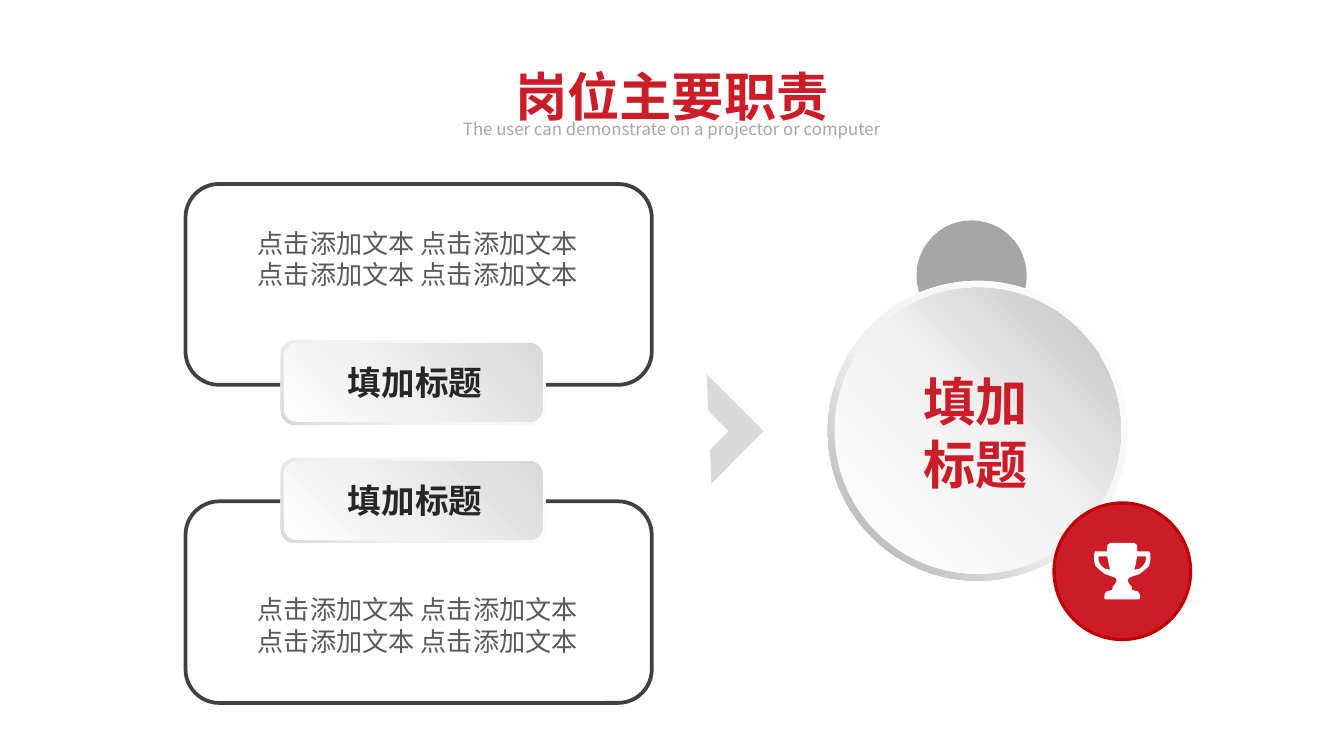
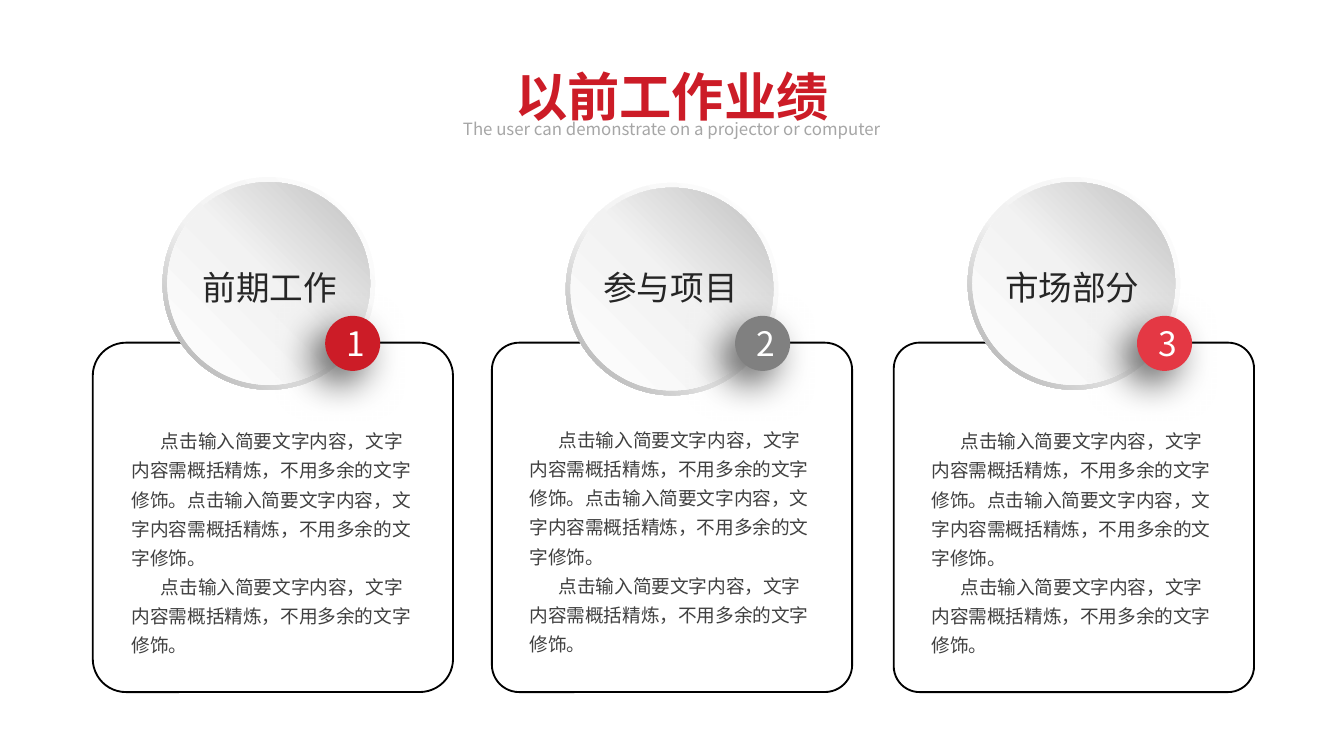
from dataclasses import dataclass
from typing import Any, NamedTuple

from lxml import etree
from pptx import Presentation
from pptx.dml.color import RGBColor
from pptx.enum.shapes import MSO_SHAPE
from pptx.enum.text import MSO_ANCHOR, MSO_AUTO_SIZE, PP_ALIGN
from pptx.oxml.ns import qn
from pptx.util import Pt

ELLIPSE, DONUT = MSO_SHAPE.OVAL, MSO_SHAPE.DONUT
ROUNDED, HALF_FRAME = MSO_SHAPE.ROUNDED_RECTANGLE, MSO_SHAPE.HALF_FRAME
LEFT, CENTER = PP_ALIGN.LEFT, PP_ALIGN.CENTER
TOP, MIDDLE = MSO_ANCHOR.TOP, MSO_ANCHOR.MIDDLE
GROW, FIXED = MSO_AUTO_SIZE.SHAPE_TO_FIT_TEXT, MSO_AUTO_SIZE.NONE


class Rect(NamedTuple):
    """Left, top, width and height in points."""
    left: float
    top: float
    width: float
    height: float

    def inset(self, gap: float) -> "Rect":
        return Rect(self.left + gap, self.top + gap,
                    self.width - 2 * gap, self.height - 2 * gap)


class Gradient(NamedTuple):
    """Stops as (percent, colour); angle runs clockwise."""
    stops: tuple[tuple[int, str], ...]
    angle: int


class TextStyle(NamedTuple):
    size: float
    color: str
    bold: bool = False
    align: Any = CENTER
    spacing: float | None = None
    indent: float = 0


Fill = str | Gradient | None
DOWN_LEFT, UP_RIGHT = 135, 315


@dataclass(frozen=True)
class Theme:
    font: str = "Noto Sans CJK SC"
    red: str = "CC1C27"
    dark_red: str = "C00000"
    light_red: str = "E43844"
    gray: str = "808080"
    silver: str = "A6A6A6"
    pale: str = "D9D9D9"
    frame: str = "404040"
    black: str = "000000"
    white: str = "FFFFFF"
    title: TextStyle = TextStyle(28, "CC1C27", bold=True)
    subtitle: TextStyle = TextStyle(9, "A6A6A6")
    duty: TextStyle = TextStyle(14, "595959")
    pill: TextStyle = TextStyle(18, "262626", bold=True)
    label: TextStyle = TextStyle(18, "262626", align=LEFT)
    number: TextStyle = TextStyle(18, "FFFFFF")
    detail: TextStyle = TextStyle(10, "404040", align=LEFT, spacing=1.3, indent=15.6)
    ring: Gradient = Gradient(((0, "FFFFFF"), (55, "F2F2F2"), (100, "A6A6A6")), DOWN_LEFT)
    disc: Gradient = Gradient(((0, "FFFFFF"), (51, "F2F2F2"), (100, "BFBFBF")), UP_RIGHT)
    pill_edge: Gradient = Gradient(((0, "FFFFFF"), (62, "F2F2F2"), (100, "D9D9D9")), DOWN_LEFT)
    pill_face: Gradient = Gradient(((0, "FFFFFF"), (42, "F0F0F0"), (100, "D9D9D9")), UP_RIGHT)


THEME = Theme()


@dataclass(frozen=True)
class Duty:
    frame: Rect
    body: Rect
    pill_top: float


@dataclass(frozen=True)
class Result:
    label: str
    number: str
    color: str
    card_left: float
    corner: float
    ring_left: float
    ring_top: float
    dot_left: float
    label_left: float
    detail_left: float
    detail_top: float


DUTIES = (
    Duty(Rect(99.4, 98.6, 249.8, 107.6), Rect(101.5, 118.1, 244.8, 41), 182.2),
    Duty(Rect(99.4, 268.6, 249.8, 108), Rect(108, 314.6, 231.8, 41), 245.5),
)
DUTY_LINE = "点击添加文本 点击添加文本"
RESULTS = (
    Result("前期工作", "1", THEME.red, 49.7, 0.095, 87.1, 95, 174.2, 101.5, 70.6, 226.8),
    Result("参与项目", "2", THEME.gray, 263.5, 0.078, 303.1, 98, 393.8, 316.1, 283.7, 226.1),
    Result("市场部分", "3", THEME.light_red, 478.8, 0.074, 518.4, 95, 609.1, 531.4, 499, 226.8),
)
SENTENCE = "点击输入简要文字内容，文字内容需概括精炼，不用多余的文字修饰。"

# Right half of the trophy: points measured from its top centre.
CUP_HALF = (
    (6.5, 0), (7.9, 1), (8.1, 4.5), (14.4, 4.5), (15.1, 5.8), (15.1, 9.4),
    (14.4, 12.2), (12.2, 14.4), (9.4, 16.6), (5.4, 18), (3.6, 18.7), (2.9, 20.2),
    (3.6, 21.6), (5, 23.4), (5.4, 25.2), (8.3, 25.9), (9.4, 27.4), (9.6, 29.4),
    (9.2, 30.2),
)
HANDLE_HOLE = ((12.8, 7.2), (8, 7.2), (7.2, 11.5), (6.5, 14.4),
               (9.4, 13.7), (11.2, 12.2), (12.5, 10.1))


def apply(target: Any, values: dict[str, Any]) -> None:
    for name, value in values.items():
        setattr(target, name, value)


def paint(shape: Any, fill: Fill) -> None:
    if fill is None:
        shape.fill.background()
    elif isinstance(fill, str):
        shape.fill.solid()
        shape.fill.fore_color.rgb = RGBColor.from_string(fill)
    else:
        shape.fill.gradient()
        shape.fill.gradient_angle = 360 - fill.angle
        stops = shape._element.spPr.find(".//" + qn("a:gsLst"))
        for stop in list(stops):
            stops.remove(stop)
        for percent, color in fill.stops:
            stop = etree.SubElement(stops, qn("a:gs"), pos=str(percent * 1000))
            etree.SubElement(stop, qn("a:srgbClr"), val=color)


def finish(shape: Any, fill: Fill, line: str | None = None, weight: float = 1) -> None:
    shape.shadow.inherit = False
    paint(shape, fill)
    if line is None:
        shape.line.fill.background()
    else:
        shape.line.color.rgb = RGBColor.from_string(line)
        shape.line.width = Pt(weight)


def add_shape(page: Any, kind: Any, rect: Rect, fill: Fill, line: str | None = None,
              weight: float = 1, corner: float | None = None) -> Any:
    shape = page.shapes.add_shape(kind, *map(Pt, rect))
    if corner is not None:
        shape.adjustments[0] = corner
    finish(shape, fill, line, weight)
    return shape


def write(frame: Any, lines: tuple[str, ...], style: TextStyle) -> None:
    for index, line in enumerate(lines):
        para = frame.add_paragraph() if index else frame.paragraphs[0]
        apply(para, {"alignment": style.align, "line_spacing": style.spacing})
        if style.indent:
            para._p.get_or_add_pPr().set("indent", str(Pt(style.indent)))
        span = para.add_run()
        span.text = line
        apply(span.font, {"name": THEME.font, "size": Pt(style.size), "bold": style.bold})
        span.font.color.rgb = RGBColor.from_string(style.color)
        east_asian = etree.SubElement(span._r.get_or_add_rPr(), qn("a:ea"))
        east_asian.set("typeface", THEME.font)


def add_text(page: Any, rect: Rect, lines: tuple[str, ...], style: TextStyle,
             wrap: bool = True, padded: bool = True) -> None:
    frame = page.shapes.add_textbox(*map(Pt, rect)).text_frame
    apply(frame, {"word_wrap": wrap, "auto_size": GROW, "vertical_anchor": TOP})
    if not padded:
        for side in ("left", "top", "right", "bottom"):
            setattr(frame, f"margin_{side}", 0)
    write(frame, lines, style)


def add_medal(page: Any, left: float, top: float, size: float,
              ring: Fill, disc: Fill) -> None:
    """A disc framed by a thin ring."""
    rect = Rect(left, top, size, size)
    add_shape(page, DONUT, rect, ring, corner=0.049)
    add_shape(page, ELLIPSE, rect.inset(size * 0.023), disc)


def add_pill(page: Any, top: float) -> None:
    rect = Rect(150.5, top, 141.8, 45.4)
    add_shape(page, ROUNDED, rect, THEME.pill_edge)
    add_shape(page, ROUNDED, rect.inset(1.6), THEME.pill_face)
    add_text(page, Rect(181.4, top + 11.5, 82.1, 21.6), ("填加标题",),
             THEME.pill, padded=False)


def add_trophy(page: Any, center: float, top: float) -> None:
    def mirror(points: Any) -> tuple:
        return tuple((-x, y) for x, y in reversed(points))

    contours = [[(Pt(center + x), Pt(top + y)) for x, y in points]
                for points in (CUP_HALF + mirror(CUP_HALF), HANDLE_HOLE, mirror(HANDLE_HOLE))]
    builder = page.shapes.build_freeform(*contours[0][0])
    for index, points in enumerate(contours):
        if index:
            builder.move_to(*points[0])
        builder.add_line_segments(points[1:], close=True)
    finish(builder.convert_to_shape(), THEME.white)


def add_drop_shadow(shape: Any) -> None:
    effects = shape._element.spPr.find(qn("a:effectLst"))
    shadow = etree.SubElement(effects, qn("a:outerShdw"), blurRad=str(Pt(20)),
                              dist=str(Pt(10)), dir=str(135 * 60000),
                              algn="tr", rotWithShape="0")
    color = etree.SubElement(shadow, qn("a:srgbClr"), val=THEME.black)
    etree.SubElement(color, qn("a:alpha"), val="60000")


def add_heading(page: Any, title: str) -> None:
    add_text(page, Rect(267.8, 31, 184.3, 41), (title,), THEME.title, wrap=False)
    add_text(page, Rect(236.9, 59.8, 245.5, 18),
             ("The user can demonstrate on a projector or computer",), THEME.subtitle)


def add_result(page: Any, result: Result) -> None:
    add_shape(page, ROUNDED, Rect(result.card_left, 183.6, 193, 187.2), None,
              THEME.black, 1, result.corner)
    add_medal(page, result.ring_left, result.ring_top, 113.8, THEME.ring, THEME.disc)
    dot = add_shape(page, ELLIPSE, Rect(result.dot_left, 169.2, 29.5, 29.5), result.color)
    add_drop_shadow(dot)
    apply(dot.text_frame, {"vertical_anchor": MIDDLE, "word_wrap": True, "auto_size": FIXED})
    write(dot.text_frame, (result.number,), THEME.number)
    add_text(page, Rect(result.label_left, 139.7, 87.1, 28.8), (result.label,),
             THEME.label, wrap=False)
    add_text(page, Rect(result.detail_left, result.detail_top, 153.4, 126),
             (SENTENCE * 2, SENTENCE), THEME.detail, padded=False)


def build_duties(page: Any) -> None:
    add_medal(page, 491, 118.1, 59, THEME.silver, THEME.silver)
    for duty in DUTIES:
        add_shape(page, ROUNDED, duty.frame, None, THEME.frame, 2)
        add_text(page, duty.body, (DUTY_LINE,) * 2, THEME.duty)
        add_pill(page, duty.pill_top)
    chevron = add_shape(page, HALF_FRAME, Rect(360, 208.1, 39.6, 43.2), THEME.pale)
    chevron.rotation = 135
    add_medal(page, 443.5, 150.5, 160.6, THEME.ring, THEME.disc)
    add_text(page, Rect(481.7, 198, 82.1, 67.7), ("填加", "标题"), THEME.title, padded=False)
    add_medal(page, 563.8, 268.6, 74.9, THEME.dark_red, THEME.red)
    add_trophy(page, 601.2, 290.9)
    add_heading(page, "岗位主要职责")


def build_results(page: Any) -> None:
    for result in RESULTS:
        add_result(page, result)
    add_heading(page, "以前工作业绩")


def main() -> None:
    deck = Presentation()
    apply(deck, {"slide_width": Pt(720), "slide_height": Pt(405)})
    blank = deck.slide_layouts[6]
    for build in (build_duties, build_results):
        build(deck.slides.add_slide(blank))
    deck.save("out.pptx")


if __name__ == "__main__":
    main()
